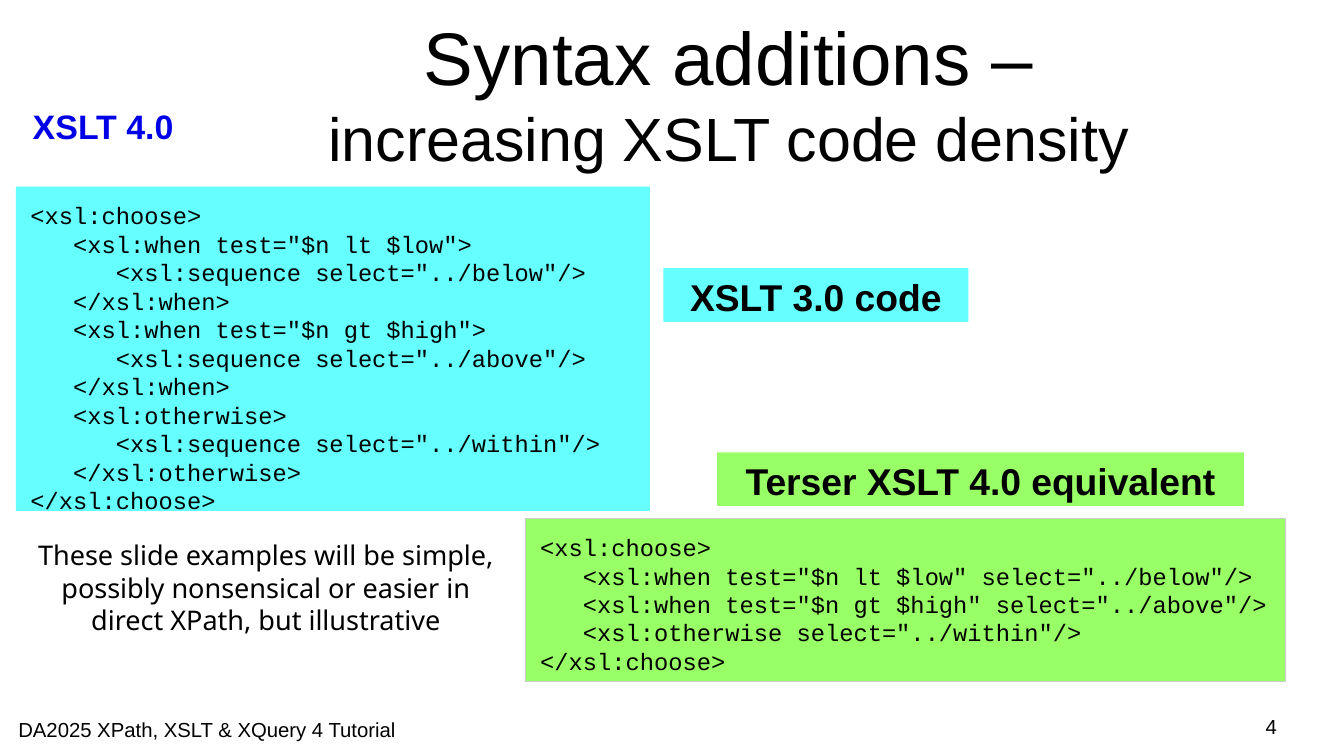
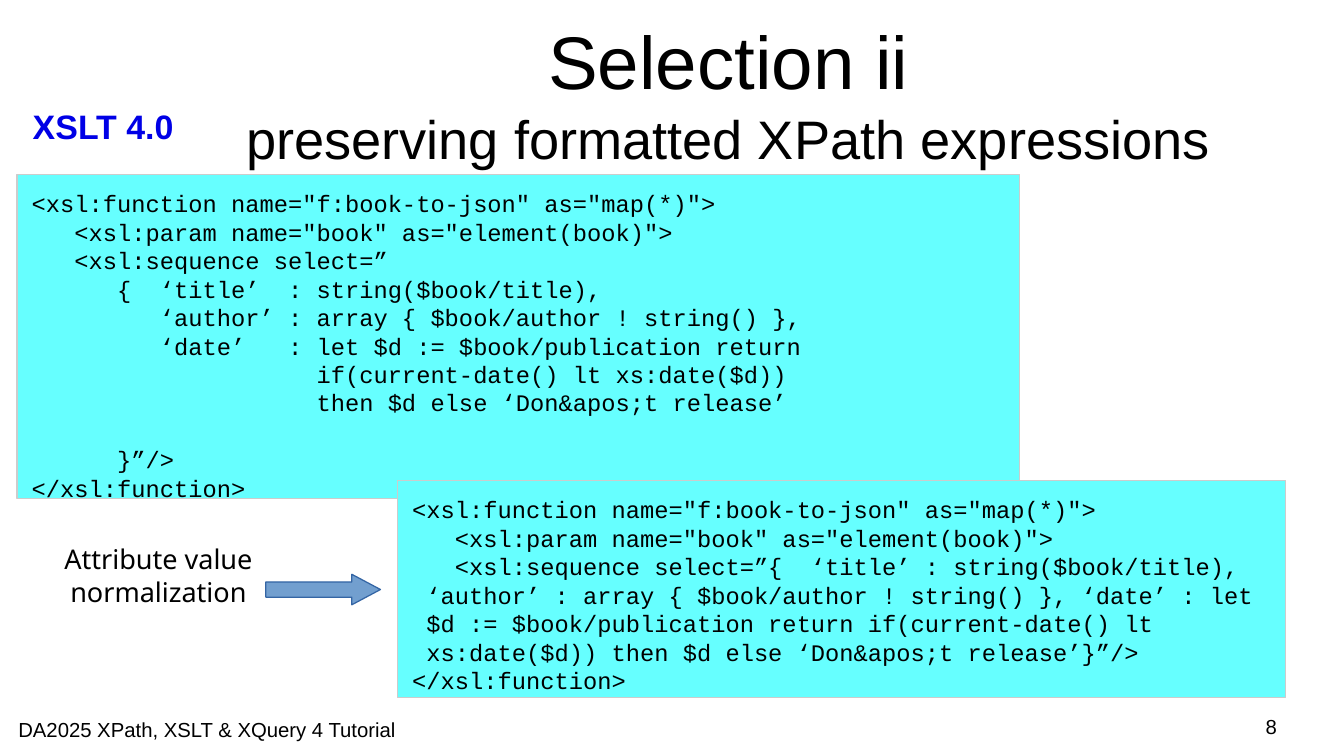
from pptx import Presentation
from pptx.dml.color import RGBColor
from pptx.enum.shapes import MSO_SHAPE
from pptx.enum.text import MSO_ANCHOR, PP_ALIGN
from pptx.util import Inches, Pt

COLORS = {"text": "000000", "badge": "0000E6", "cyan": "66FFFF", "green": "99FF66",
          "border": "CCCCCC", "arrow": "729FCF", "arrow_line": "3465A4"}
BODY, CODE, NOTE = "Arial", "Courier New", "Noto Sans"
LEFT, CENTER, RIGHT = PP_ALIGN.LEFT, PP_ALIGN.CENTER, PP_ALIGN.RIGHT
FOOTER = "DA2025 XPath, XSLT & XQuery 4 Tutorial"
CODE_LINE = 16.8  # points from one code line to the next

LONG_CHOOSE = """<xsl:choose>
   <xsl:when test="$n lt $low">
      <xsl:sequence select="../below"/>
   </xsl:when>
   <xsl:when test="$n gt $high">
      <xsl:sequence select="../above"/>
   </xsl:when>
   <xsl:otherwise>
      <xsl:sequence select="../within"/>
   </xsl:otherwise>
</xsl:choose>"""

TERSE_CHOOSE = """<xsl:choose>
   <xsl:when test="$n lt $low" select="../below"/>
   <xsl:when test="$n gt $high" select="../above"/>
   <xsl:otherwise select="../within"/>
</xsl:choose>"""

FORMATTED_FUNCTION = """<xsl:function name="f:book-to-json" as="map(*)">
   <xsl:param name="book" as="element(book)">
   <xsl:sequence select=”
      {  ‘title’  : string($book/title),
         ‘author’ : array { $book/author ! string() },
         ‘date’   : let $d := $book/publication return
                    if(current-date() lt xs:date($d))
                    then $d else ‘Don&apos;t release’

      }”/>
</xsl:function>"""

NORMALIZED_FUNCTION = """<xsl:function name="f:book-to-json" as="map(*)">
   <xsl:param name="book" as="element(book)">
   <xsl:sequence select=”{  ‘title’ : string($book/title),
 ‘author’ : array { $book/author ! string() }, ‘date’ : let
 $d := $book/publication return if(current-date() lt
 xs:date($d)) then $d else ‘Don&apos;t release’}”/>
</xsl:function>"""

# Places are (left, top, width, height) in inches.
SLIDES = [
    {"number": 4,
     "title": ("Syntax additions –", "increasing XSLT code density"),
     "title_place": (1.48, 0.14, 8.99, 1.24), "subtitle_size": 36,
     "code": [(LONG_CHOOSE, (0.13, 1.53, 5.2, 2.66), "cyan", None),
              (TERSE_CHOOSE, (4.31, 4.25, 6.23, 1.34), "green", "border")],
     "labels": [("XSLT 3.0 code", (5.44, 2.2, 2.5, 0.44), "cyan"),
                ("Terser XSLT 4.0 equivalent", (5.88, 3.71, 4.32, 0.44), "green")],
     "note": ("These slide examples will be simple, possibly nonsensical or easier in "
              "direct XPath, but illustrative", (0.22, 4.42, 3.92, 0.97))},
    {"number": 8,
     "title": ("Selection ii", "preserving formatted XPath expressions"),
     "title_place": (1.48, 0.17, 8.99, 1.18), "subtitle_size": 32,
     "code": [(FORMATTED_FUNCTION, (0.14, 1.43, 8.22, 2.66), "cyan", "border"),
              (NORMALIZED_FUNCTION, (3.26, 3.94, 7.28, 1.78), "cyan", "border")],
     "note": ("Attribute value normalization", (0.43, 4.45, 1.74, 0.76)),
     "arrow": (2.18, 4.71, 0.94, 0.25)},
]


def color(name):
    return RGBColor.from_string(COLORS[name])


def add_block(slide, place, fill, line=None, kind=MSO_SHAPE.RECTANGLE):
    block = slide.shapes.add_shape(kind, *map(Inches, place))
    block.shadow.inherit = False
    block.fill.solid()
    block.fill.fore_color.rgb = color(fill)
    if line:
        block.line.color.rgb = color(line)
        block.line.width = Pt(0)
    else:
        block.line.fill.background()
    return block


def write(box, content, sizes, font=BODY, ink="text", bold=False, align=LEFT,
          anchor=MSO_ANCHOR.TOP, inset=(0, 0), blank_gap=0):
    """Write one paragraph a line; the last size holds for all further lines.

    An empty line becomes blank_gap points before the next paragraph.
    """
    frame = box.text_frame
    frame.word_wrap = True
    frame.vertical_anchor = anchor
    frame.margin_left = frame.margin_right = Inches(inset[0])
    frame.margin_top = frame.margin_bottom = Inches(inset[1])
    para, gap = None, 0
    for index, line in enumerate(content):
        if not line:
            gap += blank_gap
            continue
        para = frame.add_paragraph() if para else frame.paragraphs[0]
        para.alignment = align
        if gap:
            para.space_before, gap = Pt(gap), 0
        span = para.add_run()
        span.text = line
        span.font.name = font
        span.font.size = Pt(sizes[min(index, len(sizes) - 1)])
        span.font.bold = bold
        span.font.color.rgb = color(ink)


def add_text(slide, place, content, sizes, **style):
    box = slide.shapes.add_textbox(*map(Inches, place))
    write(box, content, sizes, **style)


def add_shared_parts(slide, number):
    add_text(slide, (0.17, 0.82, 1.38, 0.41), ["XSLT 4.0"], [20],
             ink="badge", bold=True, inset=(0.1, 0.05))
    add_text(slide, (0.15, 5.88, 3.49, 0.19), [FOOTER], [12])
    add_text(slide, (7.9, 5.86, 2.57, 0.24), [str(number)], [12], align=RIGHT)


def build_slide(deck, page):
    slide = deck.slides.add_slide(deck.slide_layouts[6])
    add_text(slide, page["title_place"], page["title"], [44, page["subtitle_size"]],
             align=CENTER, anchor=MSO_ANCHOR.MIDDLE)
    add_shared_parts(slide, page["number"])
    for code, place, fill, line in page["code"]:
        write(add_block(slide, place, fill, line), code.split("\n"), [14],
              font=CODE, inset=(0.12, 0.12), blank_gap=CODE_LINE)
    for label, place, fill in page.get("labels", []):
        write(add_block(slide, place, fill), [label], [22],
              bold=True, align=CENTER, inset=(0.1, 0.05))
    note, place = page["note"]
    add_text(slide, place, [note], [16], font=NOTE, align=CENTER)
    if "arrow" in page:
        arrow = add_block(slide, page["arrow"], "arrow", "arrow_line",
                          MSO_SHAPE.RIGHT_ARROW)
        arrow.adjustments[0], arrow.adjustments[1] = 0.5, 0.94


def main():
    deck = Presentation()
    deck.slide_width, deck.slide_height = Inches(11.02), Inches(6.2)
    for page in SLIDES:
        build_slide(deck, page)
    deck.save("out.pptx")


if __name__ == "__main__":
    main()
